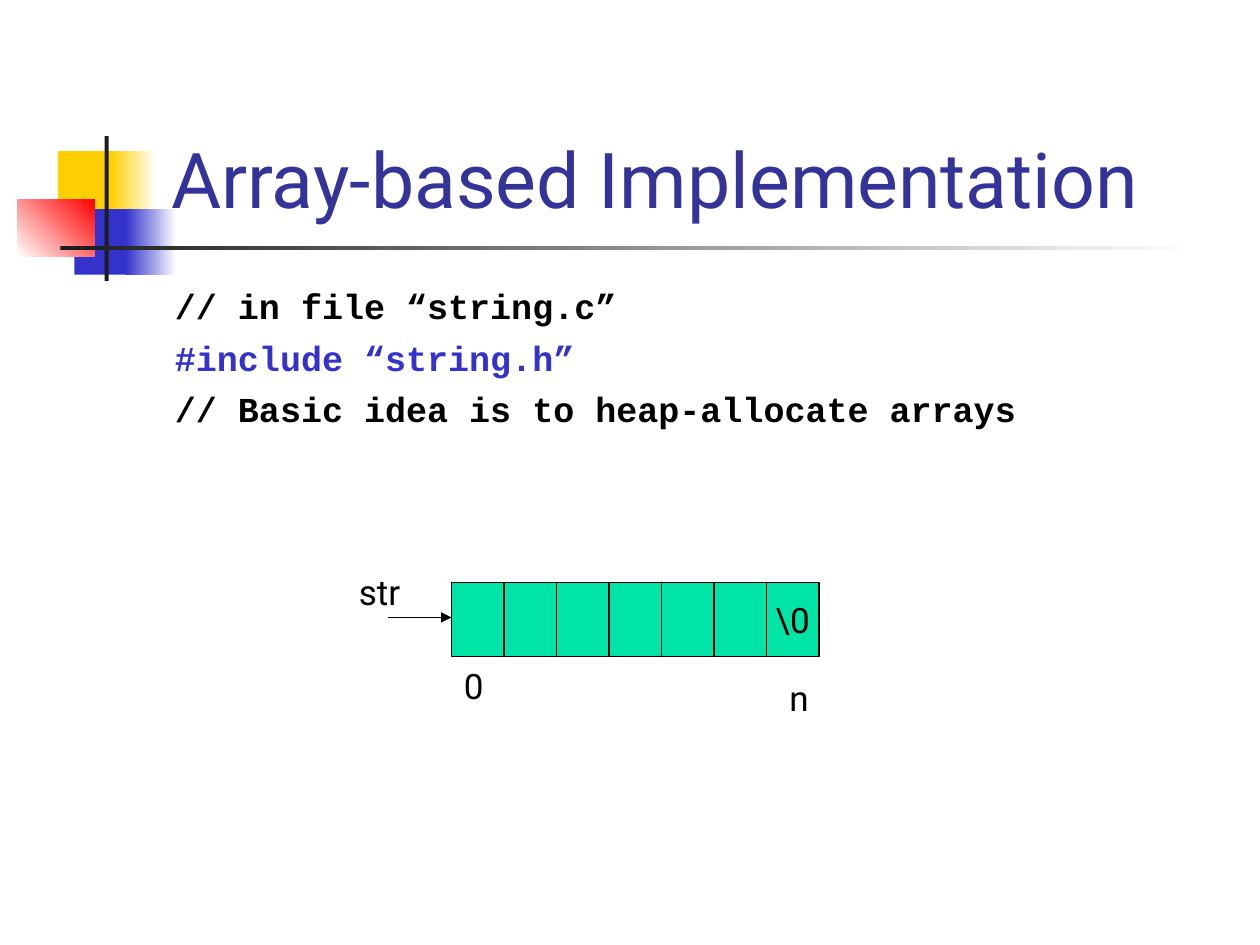
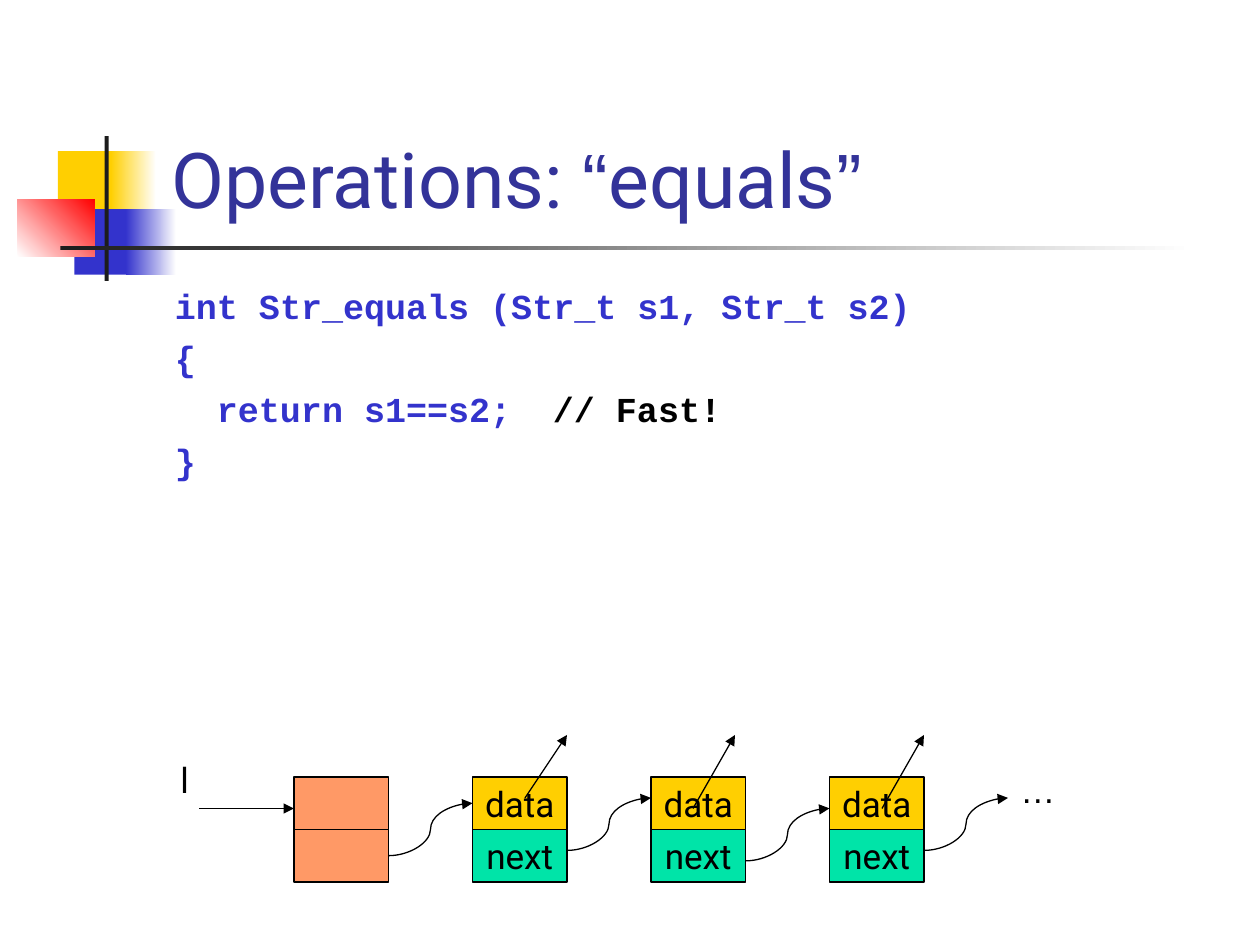
from dataclasses import dataclass

from lxml.etree import SubElement
from pptx import Presentation
from pptx.dml.color import RGBColor
from pptx.enum.shapes import MSO_CONNECTOR as Link, MSO_SHAPE as Preset
from pptx.enum.text import MSO_ANCHOR as Anchor, PP_ALIGN as Align
from pptx.oxml.ns import qn
from pptx.util import Inches, Pt

COLUMNS, ROWS = 120, 90
WIDTH, HEIGHT = Inches(10), Inches(7.5)


@dataclass(frozen=True)
class Theme:
    ink: str = "000000"
    paper: str = "FFFFFF"
    title: str = "333399"
    code: str = "3333CC"
    gold: str = "FFCF01"
    red: str = "FF0000"
    dark: str = "1C1C1C"
    green: str = "00E4A8"
    orange: str = "FF9966"
    sans: str = "Roboto"
    symbol: str = "Arial"
    mono: str = "Courier New"
    title_size: float = 44
    text_size: float = 20
    code_gap: float = 5.5
    line: float = 0.75


@dataclass(frozen=True)
class Box:
    left: float
    top: float
    width: float
    height: float

    def inner(self, left, top, width, height):
        return Box(self.left + left, self.top + top, width, height)

    def point(self, left, top):
        return across(self.left + left), down(self.top + top)

    def frame(self):
        return (across(self.left), down(self.top),
                across(self.width), down(self.height))


def across(columns):
    return round(WIDTH * columns / COLUMNS)


def down(rows):
    return round(HEIGHT * rows / ROWS)


THEME = Theme()
MOTIF = Box(1.68, 12.96, 112.08, 13.8)
TITLE = Box(15.12, 2.76, 102.24, 19.2)
BODY = Box(15.48, 26.52, 102, 54)
ARRAY = Box(33, 53.75, 46, 15.3)
CHAIN = Box(16, 70, 89, 14)


def rgb(value):
    return RGBColor.from_string(value)


def add_span(para, text, color, font=THEME.sans, size=THEME.text_size, bold=False):
    span = para.add_run()
    span.text = text
    span.font.name = font
    span.font.size = Pt(size)
    span.font.bold = bold
    span.font.color.rgb = rgb(color)


def add_block(shapes, box, fill, fade=None, angle=0):
    block = shapes.add_shape(Preset.RECTANGLE, *box.frame())
    block.shadow.inherit = False
    block.line.fill.background()
    if fade:
        block.fill.gradient()
        block.fill.gradient_angle = angle
        for stop, color, place in zip(block.fill.gradient_stops, (fill, fade), (0, 1)):
            stop.color.rgb = rgb(color)
            stop.position = place
    else:
        block.fill.solid()
        block.fill.fore_color.rgb = rgb(fill)
    return block


def add_cell(shapes, box, fill, text=""):
    cell = add_block(shapes, box, fill)
    cell.line.color.rgb = rgb(THEME.ink)
    cell.line.width = Pt(THEME.line)
    if text:
        frame = cell.text_frame
        frame.word_wrap = False
        frame.vertical_anchor = Anchor.MIDDLE
        frame.paragraphs[0].alignment = Align.CENTER
        add_span(frame.paragraphs[0], text, THEME.ink)


def add_label(shapes, box, text, font=THEME.sans):
    frame = shapes.add_textbox(*box.frame()).text_frame
    frame.word_wrap = True
    add_span(frame.paragraphs[0], text, THEME.ink, font)


def add_arrow(shapes, start, end, kind=Link.STRAIGHT):
    arrow = shapes.add_connector(kind, *start, *end)
    arrow.line.color.rgb = rgb(THEME.ink)
    arrow.line.width = Pt(THEME.line)
    properties = arrow.element.spPr
    SubElement(properties.find(qn("a:ln")), qn("a:tailEnd"), type="triangle")
    SubElement(properties, qn("a:effectLst"))


def draw_motif(shapes, box):
    for left, top, solid, faded, color in (
        (3.84, 1.44, 5.76, (8.88, 4.32), THEME.gold),
        (5.4, 6.96, 5.52, (10.32, 4.8), THEME.code),
    ):
        add_block(shapes, box.inner(left, top, solid, 6.24), color)
        add_block(shapes, box.inner(faded[0], top, faded[1], 6.24), color, THEME.paper)
    add_block(shapes, box.inner(0, 6, 7.32, 5.52), THEME.paper, THEME.red, 45)
    add_block(shapes, box.inner(8.28, 0, 0.4, box.height), THEME.dark)
    add_block(shapes, box.inner(4.08, 10.44, 108, 0.4), THEME.dark, THEME.paper)


def draw_title(shapes, box, spans):
    frame = shapes.add_textbox(*box.frame()).text_frame
    frame.word_wrap = True
    frame.vertical_anchor = Anchor.BOTTOM
    for text, font in spans:
        add_span(frame.paragraphs[0], text, THEME.title, font, THEME.title_size)


def draw_code(shapes, box, lines):
    frame = shapes.add_textbox(*box.frame()).text_frame
    frame.word_wrap = True
    character = Pt(THEME.text_size * 0.6)
    for number, (indent, spans) in enumerate(lines):
        para = frame.add_paragraph() if number else frame.paragraphs[0]
        para.space_before = Pt(THEME.code_gap if number else 0)
        layout = para._p.get_or_add_pPr()
        hang = 0 if indent else Inches(0.38)
        layout.set("marL", str(hang))
        layout.set("indent", str(indent * character - hang))
        if indent:
            stops = SubElement(layout, qn("a:tabLst"))
            SubElement(stops, qn("a:tab"), pos=str(24 * character), algn="l")
        for text, color in spans:
            add_span(para, text, color, THEME.mono, bold=True)


def draw_array(shapes, box):
    cells = 7
    for index in range(cells):
        text = "\\0" if index == cells - 1 else ""
        add_cell(shapes, box.inner(10 + 5 * index, 1.75, 5, 7), THEME.green, text)
    add_label(shapes, box.inner(10, 8.9, 4, 5.2), "0")
    add_label(shapes, box.inner(41, 10.1, 5, 5.2), "n")
    add_label(shapes, box.inner(0, 0, 9, 5.2), "str")
    add_arrow(shapes, box.point(4, 5.05), box.point(10, 5.05))


def draw_chain(shapes, box):
    group = shapes.add_group_shape().shapes
    nodes = [12 + 17 * index for index in range(4)]
    for index, left in enumerate(nodes):
        halves = (
            ((THEME.gold, "data"), (THEME.green, "next"))
            if index else ((THEME.orange, ""),) * 2
        )
        for row, (color, text) in enumerate(halves):
            add_cell(group, box.inner(left, 4 + 5 * row, 9, 5), color, text)
    add_arrow(group, box.point(3, 7), box.point(12, 7))
    add_label(group, box.inner(0, 1.6, 3.24, 5.2), "l")
    for left, top in zip(nodes, (6.5, 6, 7, 6)):
        add_arrow(group, box.point(left + 9, top + 5), box.point(left + 17, top), Link.CURVE)
    add_label(group, box.inner(80, 2.6, 9, 5.2), "…", THEME.symbol)
    for left, top in ((34, 6), (50, 7), (68, 7)):
        add_arrow(shapes, box.point(left, top), box.point(left + 4, 0))


def add_page(deck, title, lines, diagram, box):
    page = deck.slides.add_slide(deck.slide_layouts[6])
    draw_motif(page.shapes, MOTIF)
    draw_title(page.shapes, TITLE, title)
    draw_code(page.shapes, BODY, lines)
    diagram(page.shapes, box)


deck = Presentation()
deck.slide_width, deck.slide_height = WIDTH, HEIGHT
add_page(
    deck,
    [("Array-based Implementation", THEME.sans)],
    [
        (0, [("// in file “string.c”", THEME.ink)]),
        (0, [("#include “string.h”", THEME.code)]),
        (0, [("// Basic idea is to heap-allocate arrays", THEME.ink)]),
    ],
    draw_array, ARRAY,
)
add_page(
    deck,
    [("Operations: ", THEME.sans), ("“", THEME.symbol),
     ("equals", THEME.sans), ("”", THEME.symbol)],
    [
        (0, [("int Str_equals (Str_t s1, Str_t s2)", THEME.code)]),
        (0, [("{", THEME.code)]),
        (2, [("return s1==s2;\t", THEME.code), ("// Fast!", THEME.ink)]),
        (0, [("}", THEME.code)]),
    ],
    draw_chain, CHAIN,
)
deck.save("out.pptx")
